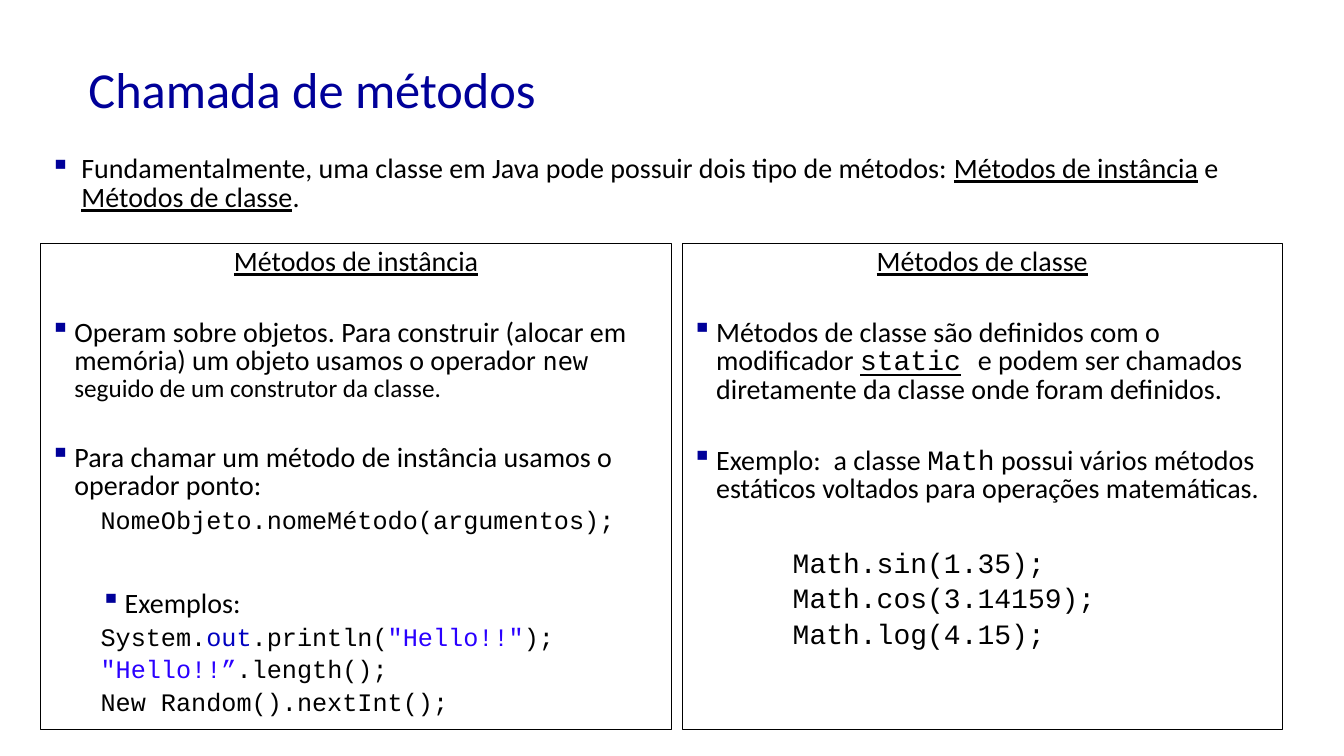
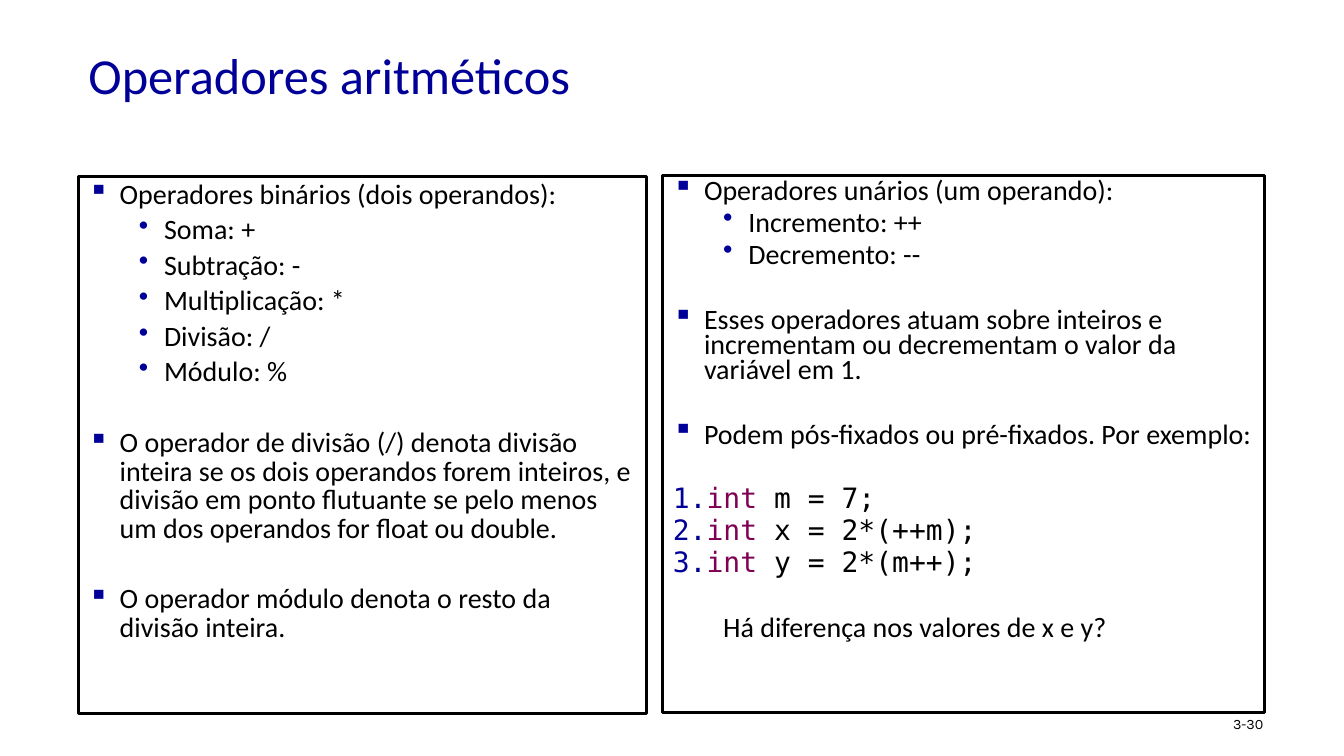
import pptx
import pptx.dml.color
import pptx.enum.shapes
import pptx.enum.text
import pptx.oxml.ns
import pptx.util
from lxml import etree

EMU_PER_PX = 9144
NAVY = "000099"
BLACK = "000000"
WHITE = "FFFFFF"
KEYWORD = "7F0055"
FIELD = "0000C0"
LITERAL = "2A00FF"
SANS = "Calibri"
COURIER = "Courier New"
MONO = "DejaVu Sans Mono"
SQUARE = {"bullet": "▪", "left": 31, "hang": 31}
NARROW_SQUARE = {"bullet": "▪", "left": 24, "hang": 24}
DOT = {"bullet": "•", "left": 75, "hang": 25, "before": 5}
NUMBER = {"bullet": "1.", "left": 31, "hang": 31}
CODE = {"left": 50, "before": 5, "size": 18, "font": COURIER}
SECTION_GAP = 30
TIGHT_GAP = 28


def px(length):
    """Turn a length in px into EMU."""
    return pptx.util.Emu(length * EMU_PER_PX)


def color(value):
    """Turn a hex string into a colour."""
    return pptx.dml.color.RGBColor.from_string(value)


def add_bullet(paragraph, bullet, left, hang):
    """Set the indents of a paragraph and its navy bullet or number."""
    properties = paragraph._p.get_or_add_pPr()
    properties.set("marL", str(px(left)))
    properties.set("indent", str(px(-hang)))
    if not bullet:
        return
    qn = pptx.oxml.ns.qn
    bullet_color = etree.SubElement(properties, qn("a:buClr"))
    etree.SubElement(bullet_color, qn("a:srgbClr"), val=NAVY)
    if bullet == "1.":
        etree.SubElement(properties, qn("a:buAutoNum"), type="arabicPeriod")
    else:
        etree.SubElement(properties, qn("a:buChar"), char=bullet)


def add_text(paragraph, text, size=20, font=SANS, ink=BLACK, underline=False):
    """Append a formatted run to a paragraph."""
    run = paragraph.add_run()
    run.text = text
    run.font.size = pptx.util.Pt(size)
    run.font.name = font
    run.font.color.rgb = color(ink)
    if underline:
        run.font.underline = True


def fill_frame(frame, paragraphs, spacing=0.85, anchor="TOP"):
    """Write (runs, format) paragraphs into a text frame."""
    frame.word_wrap = True
    frame.vertical_anchor = pptx.enum.text.MSO_ANCHOR[anchor]
    for index, (runs, style) in enumerate(paragraphs):
        paragraph = frame.paragraphs[0] if index == 0 else frame.add_paragraph()
        style = dict(style)
        add_bullet(paragraph, style.pop("bullet", None), style.pop("left", 0), style.pop("hang", 0))
        paragraph.alignment = pptx.enum.text.PP_ALIGN[style.pop("align", "LEFT")]
        paragraph.line_spacing = spacing
        paragraph.space_before = pptx.util.Pt(style.pop("before", 0))
        for text, extra in [(runs, {})] if isinstance(runs, str) else runs:
            add_text(paragraph, text, **{**style, **extra})


def add_label(slide, box, paragraphs, **layout):
    """Add a text box."""
    label = slide.shapes.add_textbox(*map(px, box))
    fill_frame(label.text_frame, paragraphs, **layout)


def add_panel(slide, box, paragraphs, border, fill=None, **layout):
    """Add a black-bordered panel of text."""
    panel = slide.shapes.add_shape(pptx.enum.shapes.MSO_SHAPE.RECTANGLE, *map(px, box))
    panel.shadow.inherit = False
    if fill:
        panel.fill.solid()
        panel.fill.fore_color.rgb = color(fill)
    else:
        panel.fill.background()
    panel.line.color.rgb = color(BLACK)
    panel.line.width = pptx.util.Pt(border)
    fill_frame(panel.text_frame, paragraphs, **layout)


def add_titled_slide(deck, title, height):
    """Add a blank slide with the shared title style."""
    slide = deck.slides.add_slide(deck.slide_layouts[6])
    add_label(slide, (78, 25, 1133, height), [(title, {"size": 36, "ink": NAVY})],
              spacing=1.0, anchor="MIDDLE")
    return slide


def build_method_calls(deck):
    """Build the slide on instance and class methods."""
    slide = add_titled_slide(deck, "Chamada de métodos", 125)
    underlined = {"underline": True}
    heading = {"align": "CENTER", "underline": True}
    section = {**NARROW_SQUARE, "before": SECTION_GAP}
    literal = {"ink": LITERAL}
    formula = {"left": 100, "before": 5, "font": COURIER}
    add_label(slide, (40, 150, 1233, 83), [
        ([("Fundamentalmente, uma classe em Java pode possuir dois tipo de métodos: ", {}),
          ("Métodos de instância", underlined), (" e ", {}),
          ("Métodos de classe", underlined), (".", {})], SQUARE),
    ])
    add_panel(slide, (40, 242, 627, 482), [
        ("Métodos de instância", heading),
        ([("Operam sobre objetos. Para construir (alocar em memória) um objeto usamos o operador ", {}),
          ("new", {"size": 18, "font": MONO}),
          (" seguido de um construtor da classe.", {"size": 18})], section),
        ("Para chamar um método de instância usamos o operador ponto:", section),
        ("NomeObjeto.nomeMétodo(argumentos);", CODE),
        ("Exemplos:", {**section, "left": 74, "before": 40}),
        ([("System.", {}), ("out", {"ink": FIELD}), (".println(", {}),
          ("\"Hello!!\"", literal), (");", {})], CODE),
        ([("\"Hello!!”", literal), (".length();", {})], CODE),
        ("New Random().nextInt();", CODE),
    ], 0.75)
    add_panel(slide, (677, 242, 596, 482), [
        ("Métodos de classe", heading),
        ([("Métodos de classe são definidos com o modificador ", {}),
          ("static", {"font": COURIER, "underline": True}), (" ", {"font": COURIER}),
          ("e podem ser chamados diretamente da classe onde foram definidos.", {})], section),
        ([("Exemplo:  a classe ", {}), ("Math", {"font": COURIER}),
          (" possui vários métodos estáticos voltados para operações matemáticas.", {})], section),
        ("Math.sin(1.35);", {**formula, "before": 33}),
        ("Math.cos(3.14159);", formula),
        ("Math.log(4.15);", formula),
    ], 0.75)


def build_operators(deck):
    """Build the slide on arithmetic operators."""
    slide = add_titled_slide(deck, "Operadores aritméticos", 98)
    section = {**SQUARE, "before": SECTION_GAP}
    tight_section = {**SQUARE, "before": TIGHT_GAP}
    binary = ["Soma: +", "Subtração: -", "Multiplicação: *", "Divisão: /", "Módulo: %"]
    unary = ["Incremento: ++", "Decremento: --"]
    statements = ["m = 7;", "x = 2*(++m);", "y = 2*(m++);"]
    add_panel(slide, (78, 175, 564, 533), [
        ("Operadores binários (dois operandos):", SQUARE),
        *[(operator, DOT) for operator in binary],
        ("O operador de divisão (/) denota divisão inteira se os dois operandos forem inteiros, "
         "e divisão em ponto flutuante se pelo menos um dos operandos for float ou double.", section),
        ("O operador módulo denota o resto da divisão inteira.", section),
    ], 2, WHITE)
    add_panel(slide, (658, 174, 597, 533), [
        ("Operadores unários (um operando):", SQUARE),
        *[(operator, DOT) for operator in unary],
        ("Esses operadores atuam sobre inteiros e incrementam ou decrementam "
         "o valor da variável em 1.", tight_section),
        ("Podem pós-fixados ou pré-fixados. Por exemplo:", tight_section),
        *[([("int ", {"ink": KEYWORD}), (statement, {})],
           {**NUMBER, "font": MONO, "before": 5 if index else TIGHT_GAP})
          for index, statement in enumerate(statements)],
        ("Há diferença nos valores de x e y?", {"left": 50, "before": TIGHT_GAP}),
    ], 2, WHITE, spacing=0.75)
    add_label(slide, (1214, 707, 99, 30), [("3-30", {"size": 10.2, "font": "Karla"})], spacing=0.9)


def main():
    """Build and save the deck."""
    deck = pptx.Presentation()
    deck.slide_width = px(1334)
    deck.slide_height = px(750)
    build_method_calls(deck)
    build_operators(deck)
    deck.save("out.pptx")


if __name__ == "__main__":
    main()
